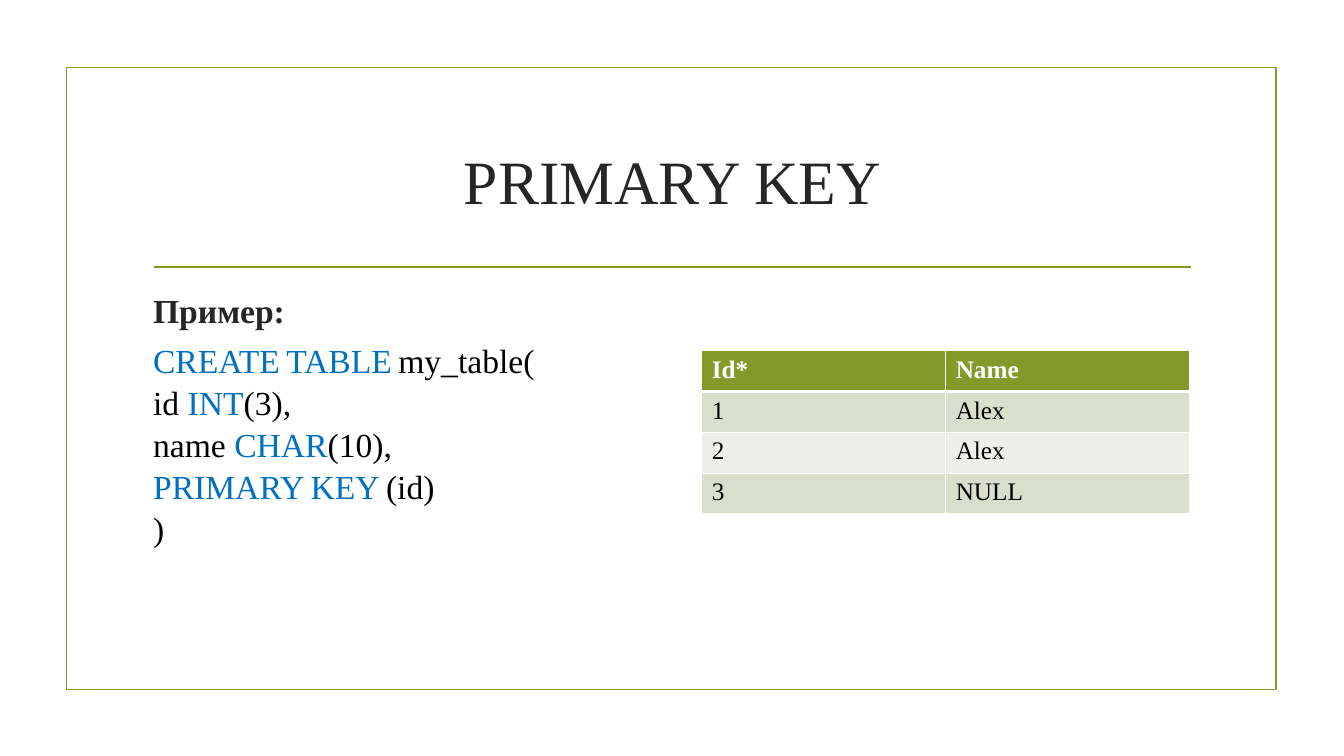
import pptx
import pptx.dml.color
import pptx.enum.shapes
import pptx.enum.text
import pptx.oxml
import pptx.oxml.ns
import pptx.util

PX = 9144
FACE = "Times New Roman"
GREEN, BLUE, DARK, BLACK, WHITE = "83992A", "0070C0", "262626", "000000", "FFFFFF"
BANDS = ["D9DECD", "EDEFE8"]
CODE = [
    [("CREATE", BLUE, 24), (" ", BLUE, 18), ("TABLE", BLUE, 24),
     (" ", BLUE, 18), ("my_table(", BLACK, 24)],
    [("id ", BLACK, 24), ("INT", BLUE, 24), ("(3),", BLACK, 24)],
    [("name ", BLACK, 24), ("CHAR", BLUE, 24), ("(10),", BLACK, 24)],
    [("PRIMARY", BLUE, 24), (" ", BLUE, 18), ("KEY", BLUE, 24),
     (" ", BLUE, 18), ("(id)", BLACK, 24)],
    [(")", BLACK, 24)],
]
ROWS = [("Id*", "Name"), ("1", "Alex"), ("2", "Alex"), ("3", "NULL")]


def color(hex):
    """Turn a hex string into a colour."""
    return pptx.dml.color.RGBColor.from_string(hex)


def emu(*px):
    """Turn px lengths into EMU."""
    return [pptx.util.Emu(n * PX) for n in px]


def style(item, form):
    """Set every attribute named in a dict."""
    for key, value in form.items():
        setattr(item, key, value)


def write(para, text, hex, size, bold=False):
    """Add one run to a paragraph."""
    run = para.add_run()
    run.text = text
    style(run.font, {"name": FACE, "size": pptx.util.Pt(size), "bold": bold})
    run.font.color.rgb = color(hex)


def stroke(line):
    """Give a line the theme green."""
    line.color.rgb = color(GREEN)
    line.width = pptx.util.Pt(1.25)


def frame(slide, x, y, w, h):
    """Draw the border and the rule below the title."""
    rect = slide.shapes.add_shape(
        pptx.enum.shapes.MSO_SHAPE.RECTANGLE, *emu(x, y, w, h))
    rect.shadow.inherit = False
    rect.fill.background()
    stroke(rect.line)
    rule = slide.shapes.add_connector(
        pptx.enum.shapes.MSO_CONNECTOR.STRAIGHT,
        *emu(x + 87, y + 198, x + w - 85, y + 198))
    stroke(rule.line)
    pptx.oxml.ns.qn("a:effectLst")
    props = rule.element.spPr
    props.append(props.makeelement(pptx.oxml.ns.qn("a:effectLst"), {}))


def head(slide, x, y, w, h):
    """Place and fill the title."""
    title = slide.shapes.title
    style(title, dict(zip(("left", "top", "width", "height"), emu(x, y, w, h))))
    style(title.text_frame, {
        "vertical_anchor": pptx.enum.text.MSO_ANCHOR.MIDDLE,
        "auto_size": pptx.enum.text.MSO_AUTO_SIZE.NONE, "word_wrap": True})
    para = title.text_frame.paragraphs[0]
    para.alignment = pptx.enum.text.PP_ALIGN.CENTER
    write(para, "PRIMARY KEY", DARK, 44)


def code(slide, x, y, w, h):
    """Write the example heading and its statement."""
    text = slide.shapes.add_textbox(*emu(x, y, w, h)).text_frame
    text.word_wrap = True
    para = text.paragraphs[0]
    style(para, {"space_after": pptx.util.Pt(6), "line_spacing": 1.04})
    write(para, "Пример:", DARK, 24, True)
    for parts in CODE:
        para = text.add_paragraph()
        style(para, {"space_after": pptx.util.Pt(0), "line_spacing": 1.04})
        for part in parts:
            write(para, *part)


def edge(cell, side, width):
    """Add a white border to one side of a cell."""
    props = cell._tc.get_or_add_tcPr()
    props.append(pptx.oxml.parse_xml(
        f'<a:{side} {pptx.oxml.ns.nsdecls("a")} w="{width * 12700}"><a:solidFill>'
        f'<a:srgbClr val="{WHITE}"/></a:solidFill></a:{side}>'))


def grid(slide, x, y, w, h):
    """Draw the table of ids and names."""
    table = slide.shapes.add_table(
        len(ROWS), len(ROWS[0]), *emu(x, y, w, h)).table
    for i, row in enumerate(ROWS):
        for j, text in enumerate(row):
            cell = table.cell(i, j)
            for side in ("lnL", "lnR", "lnT", "lnB"):
                thick = (i, side) in ((0, "lnB"), (1, "lnT"))
                edge(cell, side, 3 if thick else 1)
            cell.fill.solid()
            cell.fill.fore_color.rgb = color(BANDS[(i - 1) % 2] if i else GREEN)
            write(cell.text_frame.paragraphs[0], text,
                  BLACK if i else WHITE, 18, i == 0)


def main():
    """Build and save the slide."""
    deck = pptx.Presentation()
    deck.slide_width, deck.slide_height = emu(1333, 750)
    slide = deck.slides.add_slide(deck.slide_layouts[5])
    frame(slide, 66, 67, 1200, 617)
    head(slide, 142, 107, 1050, 143)
    code(slide, 142, 281, 525, 362)
    grid(slide, 696, 348, 484, 162)
    deck.save("out.pptx")


if __name__ == "__main__":
    main()
